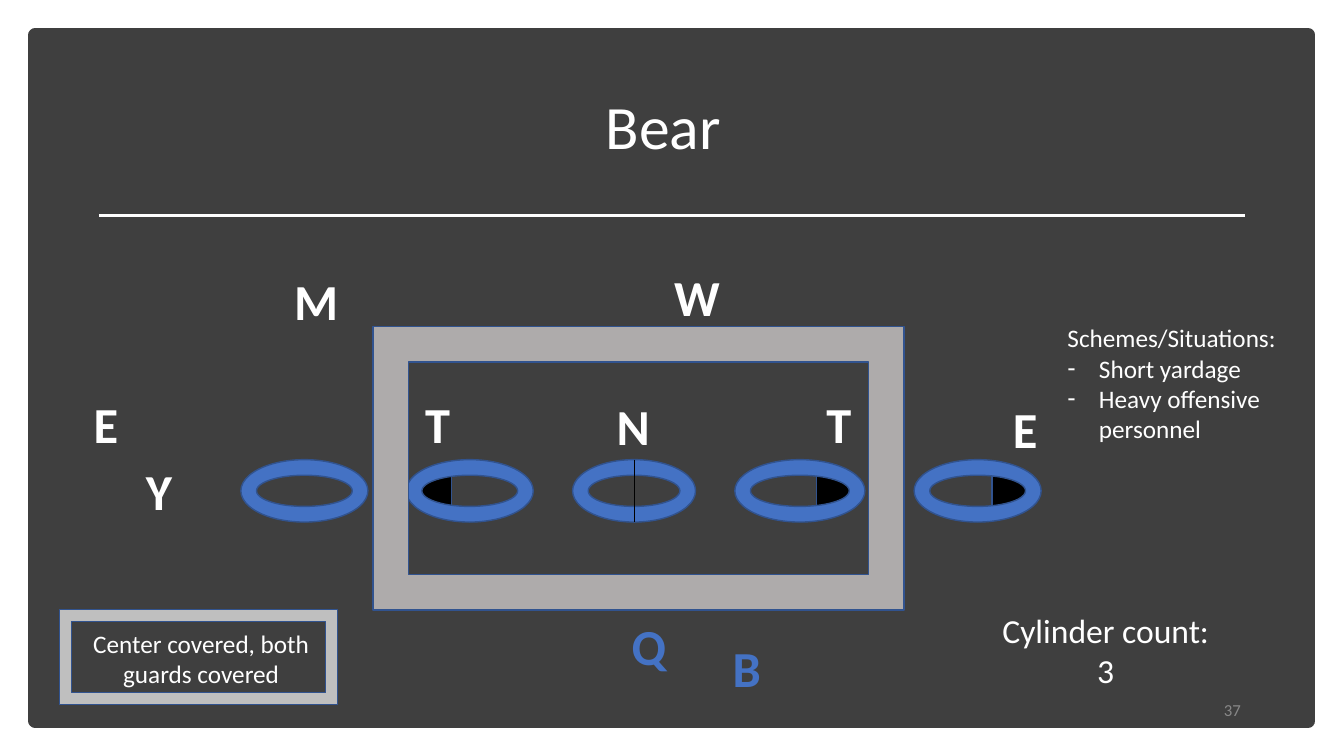
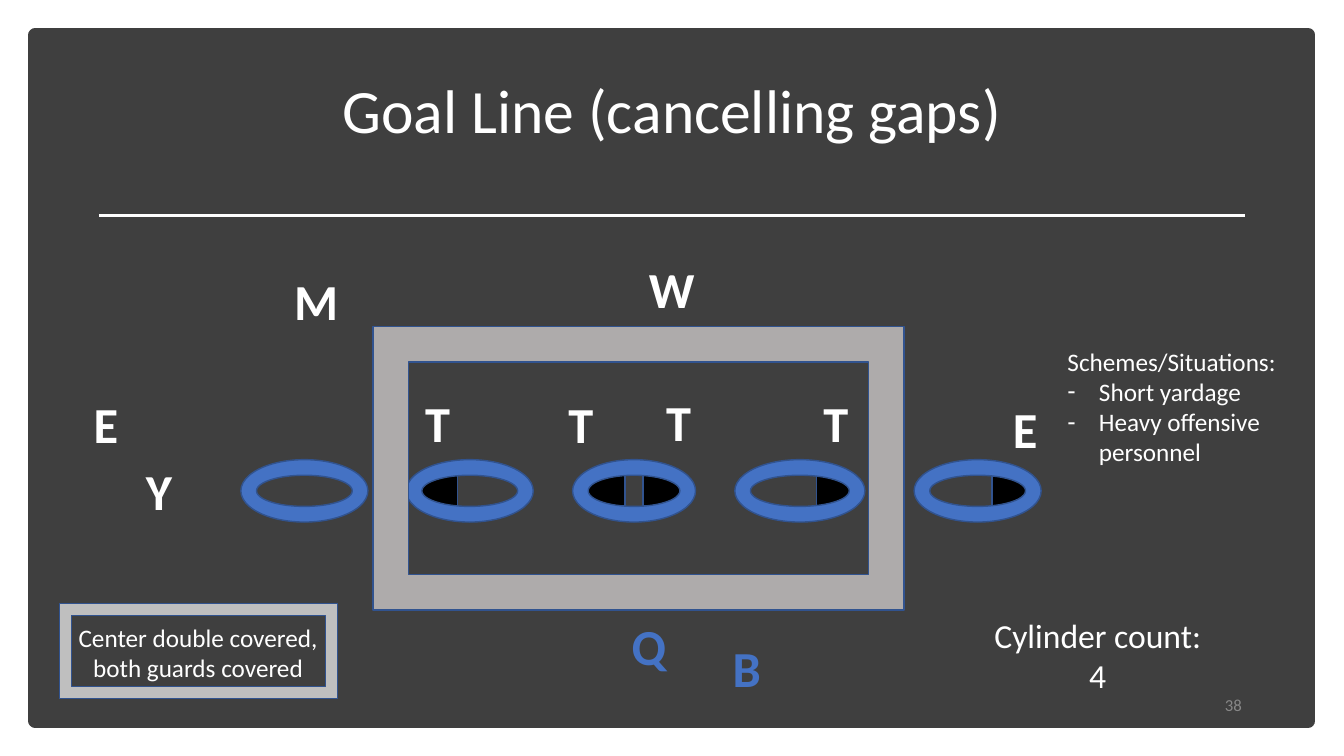
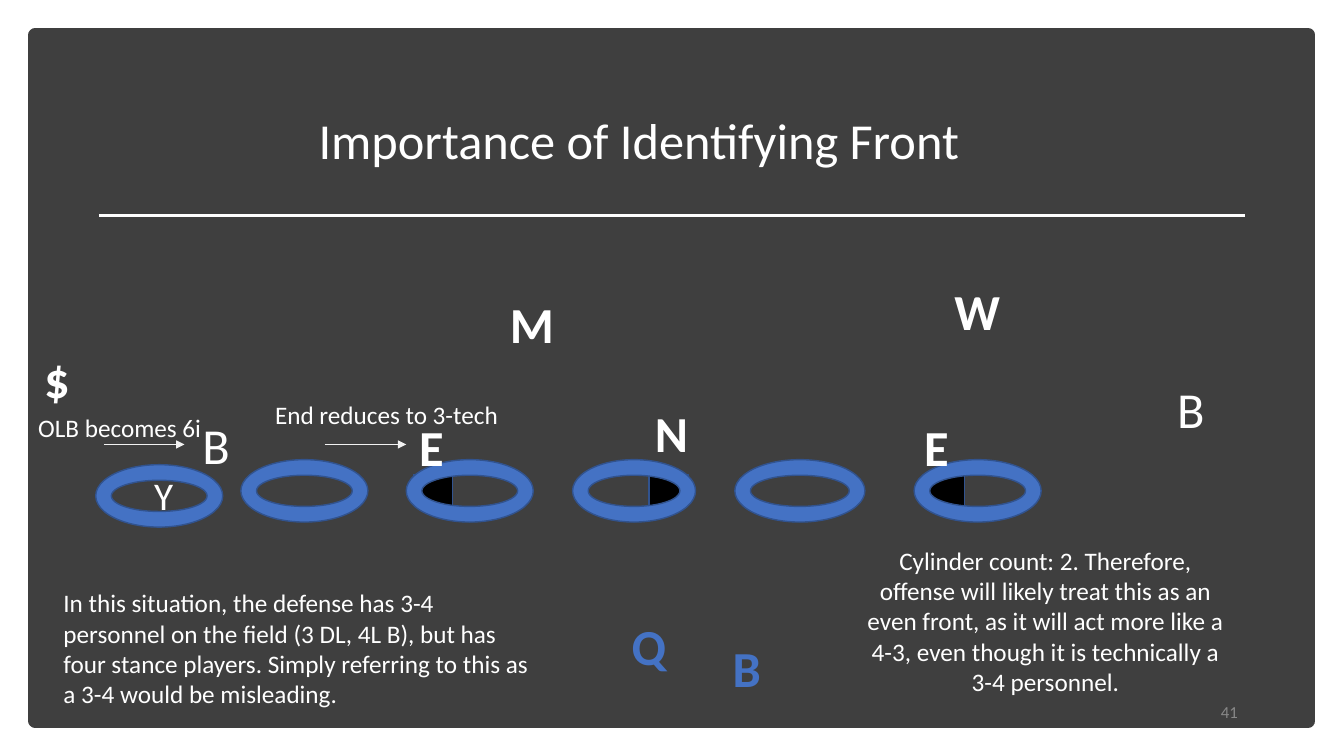
import pptx
import pptx.dml.color
import pptx.enum.shapes
import pptx.enum.text
import pptx.oxml.ns
import pptx.util
from lxml import etree

Pt = pptx.util.Pt
qn = pptx.oxml.ns.qn
SHAPE = pptx.enum.shapes.MSO_SHAPE
ALIGN = pptx.enum.text.PP_ALIGN
ANCHOR = pptx.enum.text.MSO_ANCHOR

THEME = {
    "font": "Calibri",
    "color": {
        "panel": "3F3F3F", "text": "FFFFFF", "offense": "4472C4", "outline": "31538F",
        "shade": "000000", "box": "AEABAB", "legend": "BFBFBF", "arrow": "F2F2F2",
        "number": "888888",
    },
    "size": {"title": 44, "long_title": 36, "player": 36, "tight_end": 28,
             "count": 24, "note": 18, "number": 12},
}

# Content shared by the slides; all positions are in points
SLIDE_SIZE = (960, 540)
PANEL = (25.2, 25.2, 909.4, 489.6)
RULE = (70.6, 154.1, 889.2, 154.1)
LINE_TOP, LINE_HEIGHT = 328.3, 44.6
LINEMEN = [(172.1, 90.7), (290.2, 90.7), (409, 87.8), (524.9, 92.9), (653, 90.7)]
SHADE_TOP, SHADE_SIZE = 339, (28.1, 22.3)
BACKFIELD = [("Q", 444.2, 435.6), ("B", 516.2, 451.4)]
BOX = (266.4, 233.3, 379.4, 202.3)
LEGEND_LEFT, LEGEND_SIZE = 42.5, (198.7, 67.7)
LEGEND_TEXT_DROP = 9.7
SCHEMES = ["Schemes/Situations:", "Short yardage", "Heavy offensive personnel"]
BULLET_INDENT = 22.5
EDGE_PLAYERS = [("M", 203, 189.4), ("E", 716.4, 280.8), ("E", 59.8, 277.2), ("Y", 97.2, 325.4)]

# Content of each slide: (text, left, top) for players
SLIDES = [
    {
        "title": ("Bear", 59.8, 40.3, "title"),
        "number": ("37", 677.5, 492.5),
        "shades": [(708.5, 28.1), (583.2, 28.1), (298.8, 23.8)],
        "players": EDGE_PLAYERS + [("T", 296.6, 277.2), ("T", 583.2, 277.2),
                                   ("W", 474.5, 186.5), ("N", 433.4, 278.6)],
        "legend": ("Center covered, both guards covered", 435.6, 200.9),
        "count": ("Cylinder count: 3", 702.7, 432),
        "schemes_top": 226.8,
        "center_split": (452.9, 328.3, 452.9, 373),
    },
    {
        "title": ("Goal Line (cancelling gaps)", 66.2, 28.8, "title"),
        "number": ("38", 678.2, 488.9),
        "shades": [(x, 28.1) for x in (708.5, 583.2, 459.4, 418.3, 298.8)],
        "players": EDGE_PLAYERS + [("T", 398.9, 277.2), ("T", 468.7, 275.8),
                                   ("T", 296.6, 276.5), ("T", 581, 276.5),
                                   ("W", 456.5, 180.7)],
        "legend": ("Center double covered, both guards covered", 431.3, 196.6),
        "count": ("Cylinder count: 4", 697, 435.6),
        "schemes_top": 243.4,
    },
    {
        "title": ("Importance of Identifying Front", 42.5, 50.4, "long_title"),
        "number": ("41", 675.4, 493.9),
        "shades": [(x, 28.1) for x in (661, 295.2, 463.7)],
        "players": [("N", 460.8, 283.7), ("E", 653, 293.8), ("E", 292.3, 293.8),
                    ("W", 674.6, 196.6), ("M", 357.1, 205.9), ("$", 24.5, 244.8)],
        "light_players": [("B", 137.5, 292.3, "player"), ("B", 833.8, 266.4, "player"),
                          ("Y", 103, 333.4, "tight_end")],
        "tight_end": (68.4, 331.9, 90.7, 44.6),
        "arrows": [(231.8, 317.5, 290.2, 317.5), (74.2, 317.5, 131.8, 317.5)],
        "notes": [
            ("Cylinder count: 2. Therefore, offense will likely treat this as an even front, "
             "as it will act more like a 4-3, even though it is technically a 3-4 personnel.",
             (607, 385.9, 279.4, 116.6), ALIGN.CENTER),
            ("In this situation, the defense has 3-4 personnel on the field (3 DL, 4L B), "
             "but has four stance players. Simply referring to this as a 3-4 would be misleading.",
             (38.2, 416.2, 353.5, 94.3), ALIGN.LEFT),
            ("End reduces to 3-tech", (189.4, 281.5, 185, 28.8), ALIGN.LEFT),
            ("OLB becomes 6i", (20.2, 290.9, 185, 28.8), ALIGN.LEFT),
        ],
    },
]


# Drawing helpers
def apply(target, **values):
    for name, value in values.items():
        setattr(target, name, value)


def color(role):
    return pptx.dml.color.RGBColor.from_string(THEME["color"][role])


def place(part, left, top, width, height):
    apply(part, left=Pt(left), top=Pt(top), width=Pt(width), height=Pt(height))


def write(part, lines, size, role="text", bold=False, align=ALIGN.LEFT,
          anchor=ANCHOR.TOP, spacing=1.0):
    frame = part.text_frame
    frame.text = "\n".join(lines)
    apply(frame, word_wrap=True, auto_size=pptx.enum.text.MSO_AUTO_SIZE.NONE,
          vertical_anchor=anchor, margin_left=Pt(7.2), margin_right=Pt(7.2),
          margin_top=Pt(3.6), margin_bottom=Pt(3.6))
    for paragraph in frame.paragraphs:
        apply(paragraph, alignment=align, line_spacing=spacing, space_before=Pt(0))
        for run in paragraph.runs:
            apply(run.font, name=THEME["font"], size=Pt(THEME["size"][size]), bold=bold)
            run.font.color.rgb = color(role)


def add_text(slide, text, area, size, **style):
    label = slide.shapes.add_textbox(*map(Pt, area))
    write(label, [text], size, **style)


def add_player(slide, text, left, top, size="player", role="text", bold=True):
    add_text(slide, text, (left, top, 93.6, 51.1), size, role=role, bold=bold)


def add_block(slide, kind, area, fill, outline="outline", weight=1):
    block = slide.shapes.add_shape(kind, *map(Pt, area))
    block.shadow.inherit = False
    block.fill.solid()
    block.fill.fore_color.rgb = color(fill)
    block.line.color.rgb = color(outline)
    block.line.width = Pt(weight)
    return block


def add_line(slide, ends, role, weight, arrow=False):
    line = slide.shapes.add_connector(pptx.enum.shapes.MSO_CONNECTOR.STRAIGHT, *map(Pt, ends))
    line.line.color.rgb = color(role)
    line.line.width = Pt(weight)
    properties = line.element.spPr
    if arrow:
        etree.SubElement(properties.find(qn("a:ln")), qn("a:tailEnd"), type="triangle")
    etree.SubElement(properties, qn("a:effectLst"))
    return line


def add_backdrop(deck, slide):
    """Draw the panel and title rule, then move them to the master for all slides."""
    panel = add_block(slide, SHAPE.RECTANGLE, PANEL, "panel", "panel", 10)
    rule = add_line(slide, RULE, "text", 1.75)
    tree = deck.slide_master.element.cSld.spTree
    for index, part in enumerate((panel, rule)):
        part.element.xpath(".//p:cNvPr")[0].set("id", str(100 + index))
        tree.insert(2 + index, part.element)


def fill_schemes(body, top):
    place(body, 755.3, top, 200.9, 116.6)
    write(body, SCHEMES, "note")
    for index, paragraph in enumerate(body.element.iter(qn("a:p"))):
        properties = paragraph.get_or_add_pPr()
        indent = Pt(BULLET_INDENT) if index else 0
        properties.set("marL", str(indent))
        properties.set("indent", str(-indent))
        if index:
            tint = etree.SubElement(properties, qn("a:buClr"))
            etree.SubElement(tint, qn("a:srgbClr"), val=THEME["color"]["text"])
            etree.SubElement(properties, qn("a:buChar"), char="-")
        else:
            etree.SubElement(properties, qn("a:buNone"))


def add_front(slide, content):
    # Shaded techniques lie behind the linemen
    for left, width in content["shades"]:
        add_block(slide, SHAPE.RECTANGLE, (left, SHADE_TOP, width, SHADE_SIZE[1]), "shade")
    linemen = [(left, LINE_TOP, width, LINE_HEIGHT) for left, width in LINEMEN]
    if "tight_end" in content:
        linemen.append(content["tight_end"])
    for area in linemen:
        add_block(slide, SHAPE.DONUT, area, "offense")
    if "legend" in content:
        add_block(slide, SHAPE.FRAME, BOX, "box")

    # Players
    for player in content["players"]:
        add_player(slide, *player)
    for player in content.get("light_players", []):
        add_player(slide, *player, bold=False)
    for player in BACKFIELD:
        add_player(slide, *player, role="offense")
    if "center_split" in content:
        add_line(slide, content["center_split"], "shade", 0.75)


def add_commentary(slide, content):
    if "legend" in content:
        text, top, width = content["legend"]
        add_text(slide, text, (43.2, top + LEGEND_TEXT_DROP, width, 51.1), "note",
                 align=ALIGN.CENTER)
        add_block(slide, SHAPE.FRAME, (LEGEND_LEFT, top, *LEGEND_SIZE), "legend")
        text, left, top = content["count"]
        add_text(slide, text, (left, top, 174.2, 65.5), "count", align=ALIGN.CENTER)
    for ends in content.get("arrows", []):
        add_line(slide, ends, "arrow", 0.75, arrow=True)
    for text, area, align in content.get("notes", []):
        add_text(slide, text, area, "note", align=align)


def main():
    deck = pptx.Presentation()
    apply(deck, slide_width=Pt(SLIDE_SIZE[0]), slide_height=Pt(SLIDE_SIZE[1]))
    with_list, title_only = deck.slide_layouts[1], deck.slide_layouts[5]
    for index, content in enumerate(SLIDES):
        has_schemes = "schemes_top" in content
        slide = deck.slides.add_slide(with_list if has_schemes else title_only)
        if index == 0:
            add_backdrop(deck, slide)
        text, left, top, size = content["title"]
        heading = slide.shapes.title
        place(heading, left, top, 828, 104.4)
        write(heading, [text], size, align=ALIGN.CENTER, anchor=ANCHOR.MIDDLE, spacing=0.9)
        if has_schemes:
            fill_schemes(slide.placeholders[1], content["schemes_top"])
        add_front(slide, content)
        add_commentary(slide, content)
        number, left, top = content["number"]
        add_text(slide, number, (left, top, 216, 28.8), "number", role="number",
                 align=ALIGN.RIGHT, anchor=ANCHOR.MIDDLE)
    deck.save("out.pptx")


if __name__ == "__main__":
    main()
